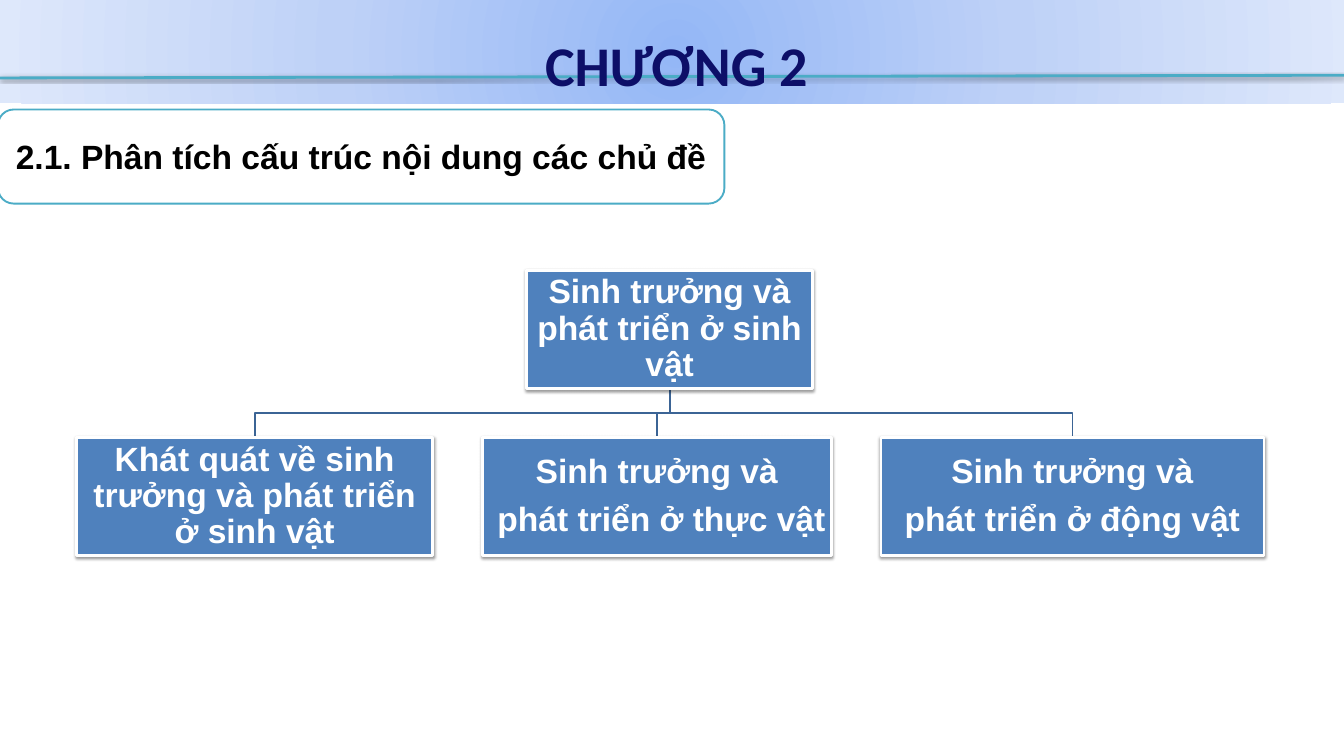
from lxml.etree import SubElement
from pptx import Presentation
from pptx.dml.color import RGBColor
from pptx.enum.shapes import MSO_CONNECTOR, MSO_SHAPE
from pptx.enum.text import MSO_ANCHOR, MSO_AUTO_SIZE, PP_ALIGN
from pptx.oxml import parse_xml
from pptx.oxml.ns import nsdecls, qn
from pptx.util import Inches, Pt

NAVY = RGBColor(0x0D, 0x0F, 0x68)
TEAL = RGBColor(0x4B, 0xAC, 0xC6)
BLUE = RGBColor(0x4F, 0x81, 0xBD)
BRANCH_BLUE = RGBColor(0x3B, 0x64, 0x95)
WHITE = RGBColor(0xFF, 0xFF, 0xFF)
BLACK = RGBColor(0x00, 0x00, 0x00)
BAND_STOPS = (
    (0, RGBColor(0x94, 0xB7, 0xF6)),
    (50, RGBColor(0xBE, 0xD1, 0xF7)),
    (100, RGBColor(0xDE, 0xE8, 0xFB)),
)

ROOT_LEFT, ROOT_TOP, ROOT_WIDTH = 7.84, 4.02, 4.25
TOPICS_LEFT, TOPICS_TOP, TOPIC_GAP = 1.14, 6.51, 0.74
BOX_HEIGHT = 1.76
ROOT_TOPIC = ["Sinh trưởng và phát triển ở sinh vật"]
TOPICS = (
    (5.3, ["Khát quát về sinh trưởng và phát triển ở sinh vật"]),
    (5.19, ["Sinh trưởng và", " phát triển ở thực vật"]),
    (5.7, ["Sinh trưởng và", "phát triển ở động vật"]),
)


def set_shadow(shape, opacity, blur, distance):
    properties = shape.element.spPr
    for effects in properties.findall(qn("a:effectLst")):
        properties.remove(effects)
    effects = SubElement(properties, qn("a:effectLst"))
    shadow = SubElement(
        effects, qn("a:outerShdw"), blurRad=str(Pt(blur)),
        dist=str(Pt(distance)), dir="5400000", rotWithShape="0",
    )
    tint = SubElement(shadow, qn("a:srgbClr"), val=str(BLACK))
    SubElement(tint, qn("a:alpha"), val=str(opacity * 1000))


def style_line(shape, color, width):
    shape.line.color.rgb = color
    shape.line.width = Pt(width)


def write_text(shape, lines, font_name, size, color, spacing, margins, anchor):
    frame = shape.text_frame
    frame.word_wrap = True
    frame.vertical_anchor = anchor
    frame.margin_left = frame.margin_right = Inches(margins[0])
    frame.margin_top = frame.margin_bottom = Inches(margins[1])
    for index, line in enumerate(lines):
        paragraph = frame.add_paragraph() if index else frame.paragraphs[0]
        paragraph.alignment = PP_ALIGN.CENTER
        paragraph.line_spacing = spacing
        paragraph.space_before = Pt(12.6 if index else 0)
        run = paragraph.add_run()
        run.text = line
        run.font.name = font_name
        run.font.size = Pt(size)
        run.font.bold = True
        run.font.color.rgb = color


def add_box(slide, preset, left, top, width, height, fill, border, border_width):
    box = slide.shapes.add_shape(
        preset, Inches(left), Inches(top), Inches(width), Inches(height)
    )
    box.shadow.inherit = False
    box.fill.solid()
    box.fill.fore_color.rgb = fill
    style_line(box, border, border_width)
    return box


def add_band(slide):
    band = slide.shapes.add_shape(
        MSO_SHAPE.RECTANGLE, 0, 0, Inches(20.12), Inches(1.54)
    )
    band.shadow.inherit = False
    band.line.fill.background()
    stops = "".join(
        f'<a:gs pos="{position * 1000}"><a:srgbClr val="{color}"/></a:gs>'
        for position, color in BAND_STOPS
    )
    gradient = parse_xml(
        f'<a:gradFill {nsdecls("a")} rotWithShape="1"><a:gsLst>{stops}</a:gsLst>'
        '<a:path path="circle"><a:fillToRect l="50000" t="50000" r="50000" b="50000"/>'
        "</a:path></a:gradFill>"
    )
    band.element.spPr.find(qn("a:prstGeom")).addnext(gradient)


def add_rule(slide):
    rule = slide.shapes.add_connector(
        MSO_CONNECTOR.STRAIGHT, 0, Inches(1.16), Inches(20), Inches(1.12)
    )
    style_line(rule, TEAL, 3)
    set_shadow(rule, 35, 3.1, 1.8)


def add_title(slide):
    title = slide.shapes.title
    title.element.getparent().append(title.element)
    title.left, title.top = Inches(4.01), Inches(0.05)
    title.width, title.height = Inches(12.11), Inches(1.11)
    write_text(title, ["CHƯƠNG 2"], "Calibri", 60, NAVY, 1.4, (0, 0), MSO_ANCHOR.TOP)
    title.text_frame.auto_size = MSO_AUTO_SIZE.SHAPE_TO_FIT_TEXT


def add_section_heading(slide):
    heading = add_box(
        slide, MSO_SHAPE.ROUNDED_RECTANGLE, -0.03, 1.63, 10.81, 1.4, WHITE, TEAL, 2
    )
    write_text(
        heading, ["2.1. Phân tích cấu trúc nội dung các chủ đề"],
        "Arial", 36, BLACK, 1, (0.1, 0.05), MSO_ANCHOR.MIDDLE,
    )


def add_branch(slide, root_center, topic_center):
    start = ROOT_TOP + BOX_HEIGHT
    bend = (start + TOPICS_TOP) / 2
    corners = ((root_center, bend), (topic_center, bend), (topic_center, TOPICS_TOP))
    builder = slide.shapes.build_freeform(Inches(root_center), Inches(start))
    builder.add_line_segments([(Inches(x), Inches(y)) for x, y in corners], close=False)
    branch = builder.convert_to_shape()
    branch.shadow.inherit = False
    branch.fill.background()
    style_line(branch, BRANCH_BLUE, 2)


def add_topic(slide, left, top, width, lines):
    topic = add_box(
        slide, MSO_SHAPE.RECTANGLE, left, top, width, BOX_HEIGHT, BLUE, WHITE, 3
    )
    set_shadow(topic, 38, 3.1, 1.6)
    write_text(topic, lines, "Arial", 36, WHITE, 0.9, (0.02, 0.02), MSO_ANCHOR.MIDDLE)


def add_topic_tree(slide):
    placed = []
    left = TOPICS_LEFT
    for width, lines in TOPICS:
        placed.append((left, width, lines))
        left += width + TOPIC_GAP
    for left, width, _ in placed:
        add_branch(slide, ROOT_LEFT + ROOT_WIDTH / 2, left + width / 2)
    add_topic(slide, ROOT_LEFT, ROOT_TOP, ROOT_WIDTH, ROOT_TOPIC)
    for left, width, lines in placed:
        add_topic(slide, left, TOPICS_TOP, width, lines)


def main():
    presentation = Presentation()
    presentation.slide_width = Inches(20)
    presentation.slide_height = Inches(11.25)
    slide = presentation.slides.add_slide(presentation.slide_layouts[5])
    add_band(slide)
    add_rule(slide)
    add_section_heading(slide)
    add_title(slide)
    add_topic_tree(slide)
    presentation.save("out.pptx")


if __name__ == "__main__":
    main()
